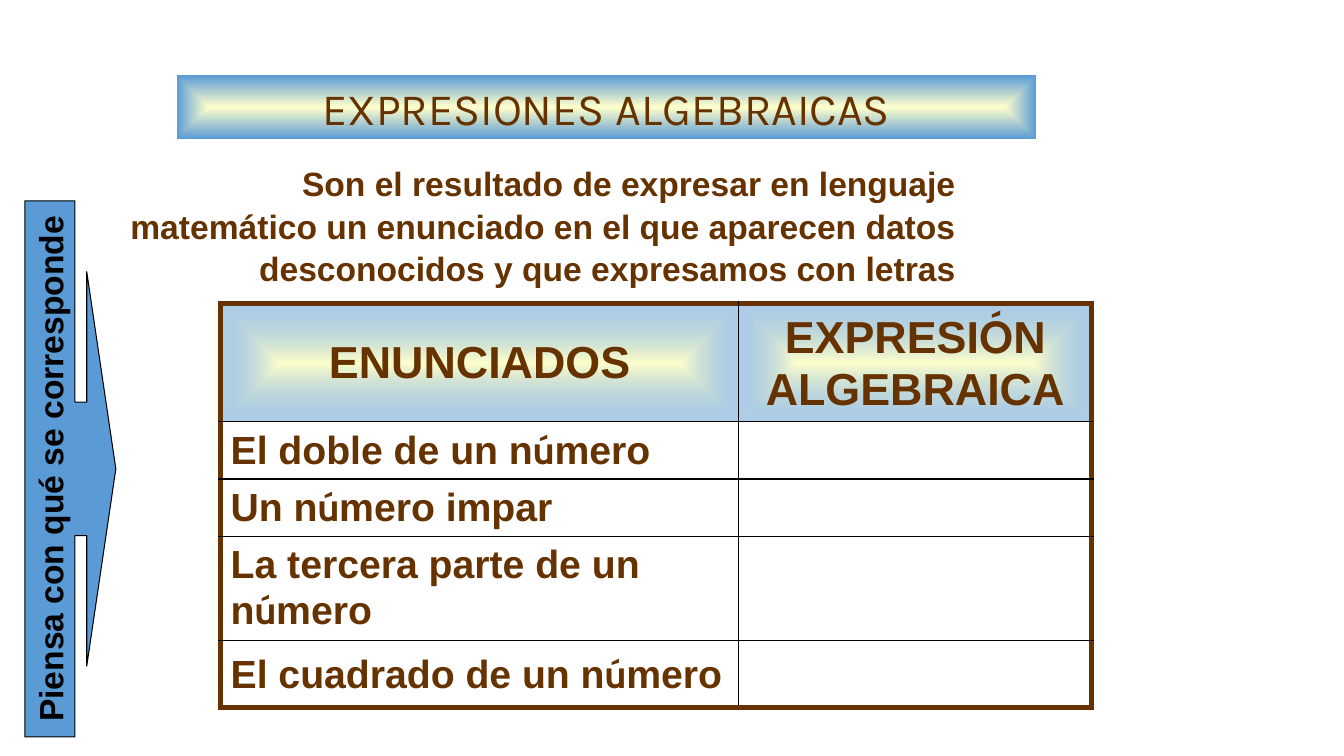
from dataclasses import dataclass
from itertools import groupby

from pptx import Presentation
from pptx.dml.color import RGBColor
from pptx.enum.shapes import MSO_SHAPE
from pptx.enum.text import MSO_ANCHOR, MSO_AUTO_SIZE, PP_ALIGN
from pptx.oxml import parse_xml
from pptx.oxml.ns import nsdecls, qn
from pptx.util import Cm, Pt


@dataclass(frozen=True)
class Theme:
    brown: str = "663300"
    blue: str = "5B9BD5"
    cream: str = "FFFFCC"
    black: str = "000000"
    title_font: str = "Karla"
    body_font: str = "Arial"
    accent_font: str = "Cabin"
    heading_size: int = 32
    row_size: int = 28
    body_size: int = 24
    frame_width: float = 4.5
    grid_width: float = 1
    outline_width: float = 0.75


class SlideBuilder:
    def __init__(self, slide, theme):
        self.slide = slide
        self.theme = theme

    def add_text(self, frame, text, size, align, font=None, color=None, bold=True, accents=""):
        """Add one paragraph; letters listed in accents get the accent font."""
        paragraph = frame.paragraphs[0]
        paragraph.alignment = align
        for accented, letters in groupby(text, key=lambda letter: letter in accents):
            run = paragraph.add_run()
            run.text = "".join(letters)
            run.font.name = self.theme.accent_font if accented else font or self.theme.body_font
            run.font.size = Pt(size)
            run.font.bold = bold
            run.font.color.rgb = RGBColor.from_string(color or self.theme.brown)
        return paragraph

    def glow(self, filled, properties, opacity=100):
        """Fill with a gradient from a cream centre to blue edges."""
        filled.fill.background()
        gradient = parse_xml(
            f'<a:gradFill {nsdecls("a")} rotWithShape="1"><a:gsLst>'
            f'<a:gs pos="0"><a:srgbClr val="{self.theme.cream}"/></a:gs>'
            f'<a:gs pos="100000"><a:srgbClr val="{self.theme.blue}">'
            f'<a:alpha val="{opacity * 1000}"/></a:srgbClr></a:gs></a:gsLst>'
            '<a:path path="shape"><a:fillToRect l="50000" t="50000" r="50000" b="50000"/>'
            '</a:path></a:gradFill>')
        properties.replace(properties.find(qn("a:noFill")), gradient)

    def banner(self, text, left, top, width, height):
        shape = self.slide.shapes.add_shape(
            MSO_SHAPE.RECTANGLE, Cm(left), Cm(top), Cm(width), Cm(height))
        shape.shadow.inherit = False
        shape.line.fill.background()
        self.glow(shape, shape._element.spPr)
        frame = shape.text_frame
        frame.vertical_anchor = MSO_ANCHOR.TOP
        frame.auto_size = MSO_AUTO_SIZE.SHAPE_TO_FIT_TEXT
        self.add_text(frame, text, self.theme.heading_size, PP_ALIGN.CENTER,
                      font=self.theme.title_font, bold=False)

    def definition(self, text, left, top, width, height):
        box = self.slide.shapes.add_textbox(Cm(left), Cm(top), Cm(width), Cm(height))
        box.text_frame.word_wrap = True
        box.text_frame.auto_size = MSO_AUTO_SIZE.SHAPE_TO_FIT_TEXT
        paragraph = self.add_text(box.text_frame, text, self.theme.body_size, PP_ALIGN.RIGHT)
        paragraph.line_spacing = 1.05

    def borders(self, cell, outer_sides):
        properties = cell._tc.get_or_add_tcPr()
        for side in "LRTB":
            outer = side in outer_sides
            color = self.theme.brown if outer else self.theme.black
            width = Pt(self.theme.frame_width if outer else self.theme.grid_width)
            properties.append(parse_xml(
                f'<a:ln{side} {nsdecls("a")} w="{width}"><a:solidFill>'
                f'<a:srgbClr val="{color}"/></a:solidFill></a:ln{side}>'))

    def table(self, rows, left, top, widths, heights, accents):
        table = self.slide.shapes.add_table(
            len(heights), len(widths), Cm(left), Cm(top),
            Cm(sum(widths)), Cm(sum(heights))).table
        table.first_row = table.horz_banding = False
        for column, width in zip(table.columns, widths):
            column.width = Cm(width)
        for row, height in zip(table.rows, heights):
            row.height = Cm(height)
        for r, texts in enumerate(rows):
            for c, text in enumerate(texts):
                cell = table.cell(r, c)
                cell.vertical_anchor = MSO_ANCHOR.MIDDLE
                edges = {"L": c == 0, "R": c == len(widths) - 1,
                         "T": r == 0, "B": r == len(heights) - 1}
                self.borders(cell, [side for side, outer in edges.items() if outer])
                heading = r == 0
                if heading:
                    self.glow(cell, cell._tc.tcPr, opacity=50)
                else:
                    cell.fill.background()
                if text:
                    self.add_text(cell.text_frame, text,
                                  self.theme.heading_size if heading else self.theme.row_size,
                                  PP_ALIGN.CENTER if heading else PP_ALIGN.LEFT,
                                  accents=accents)

    def side_callout(self, text, left, top, width, height, adjustments):
        shape = self.slide.shapes.add_shape(
            MSO_SHAPE.DOWN_ARROW_CALLOUT, Cm(left), Cm(top), Cm(width), Cm(height))
        shape.rotation = 270
        shape.shadow.inherit = False
        for index, value in enumerate(adjustments):
            shape.adjustments[index] = value
        shape.fill.solid()
        shape.fill.fore_color.rgb = RGBColor.from_string(self.theme.blue)
        shape.line.color.rgb = RGBColor.from_string(self.theme.black)
        shape.line.width = Pt(self.theme.outline_width)
        shape.text_frame.word_wrap = False
        shape.text_frame.vertical_anchor = MSO_ANCHOR.MIDDLE
        self.add_text(shape.text_frame, text, self.theme.body_size, PP_ALIGN.CENTER,
                      color=self.theme.black)


def main():
    presentation = Presentation()
    presentation.slide_width, presentation.slide_height = Cm(33.87), Cm(19.05)
    slide = presentation.slides.add_slide(presentation.slide_layouts[6])
    builder = SlideBuilder(slide, Theme())

    # Title and definition
    builder.banner("EXPRESIONES ALGEBRAICAS", 4.45, 1.9, 21.67, 1.6)
    builder.definition(
        "Son el resultado de expresar en lenguaje matemático un enunciado en el que "
        "aparecen datos desconocidos y que expresamos con letras", 2.92, 3.94, 21.41, 3.3)

    # Statements, with the expressions left to fill in
    statements = ["El doble de un número", "Un número impar",
                  "La tercera parte de un número", "El cuadrado de un número"]
    rows = [("ENUNCIADOS", "EXPRESIÓN ALGEBRAICA")] + [(text, "") for text in statements]
    builder.table(rows, 5.56, 7.65, widths=[13.06, 8.89],
                  heights=[2.97, 1.45, 1.45, 2.62, 1.68], accents="Óú")

    # Prompt pointing at the table
    builder.side_callout("Piensa con qué se corresponde", -4.98, 10.67, 13.51, 2.29,
                         adjustments=[1.47, 2.17, 0.32, 0.55])

    presentation.save("out.pptx")


if __name__ == "__main__":
    main()
